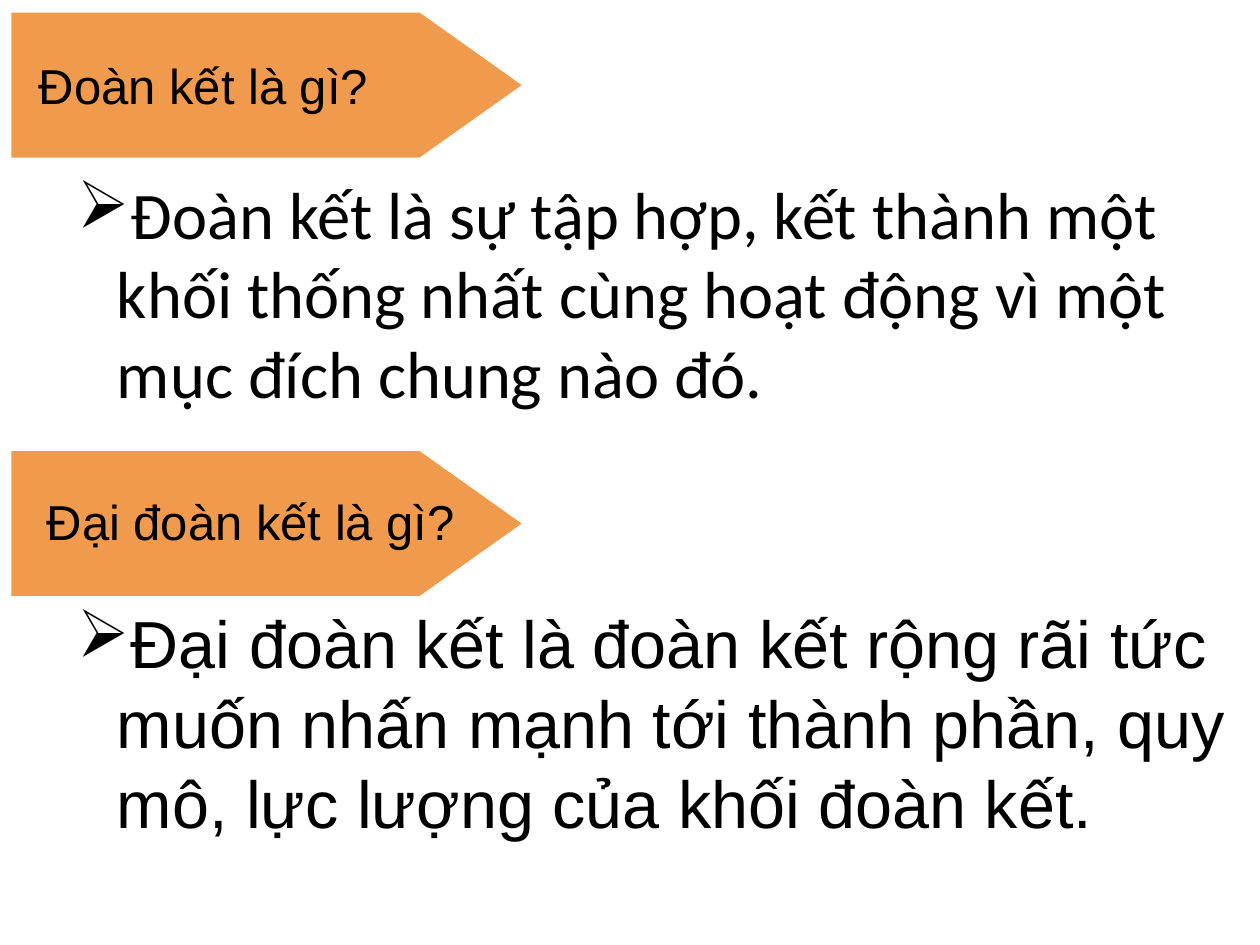
from lxml import etree
from pptx import Presentation, util as u
from pptx.dml.color import RGBColor
from pptx.enum import shapes, text
from pptx.oxml.ns import qn

ITEMS = [
    (0.1, "Đoàn kết là gì?", (0.21, 0.39, 3.3), text.PP_ALIGN.LEFT,
     "Đoàn kết là sự tập hợp, kết thành một khối thống nhất cùng hoạt động "
     "vì một mục đích chung nào đó.", (0.52, 1.32, 8.85), "Calibri"),
    (3.58, "Đại đoàn kết là gì?", (0.09, 3.85, 3.8), text.PP_ALIGN.CENTER,
     "Đại đoàn kết là đoàn kết rộng rãi tức muốn nhấn mạnh tới thành phần, "
     "quy mô, lực lượng của khối đoàn kết.", (0.52, 4.73, 9.39), "Arial"),
]


def paint(target, color):
    """Set a solid colour on a fill."""
    target.solid()
    target.fore_color.rgb = RGBColor.from_string(color)


def write(parent, words, place, height, size, face):
    """Add a wrapped text box and return its paragraph."""
    left, top, width = place
    box = parent.add_textbox(*map(u.Inches, (left, top, width, height)))
    frame = box.text_frame
    frame.word_wrap = True
    frame.auto_size = text.MSO_AUTO_SIZE.SHAPE_TO_FIT_TEXT
    para = frame.paragraphs[0]
    para.text = words
    para.font.size = u.Pt(size)
    para.font.name = face
    paint(para.font.fill, "000000")
    return para


def banner(slide, top, title, place, align):
    """Add a grouped arrow banner with its question."""
    group = slide.shapes.add_group_shape().shapes
    wide, long = 1.15, 4.05
    left = 0.09 + (long - wide) / 2
    arrow = group.add_shape(
        shapes.MSO_SHAPE.FLOWCHART_OFFPAGE_CONNECTOR,
        *map(u.Inches, (left, top - (long - wide) / 2, wide, long)))
    arrow.rotation = 270
    arrow.shadow.inherit = False
    arrow.line.fill.background()
    paint(arrow.fill, "ED7E1C")
    color = arrow.fill._xPr.find(qn("a:solidFill"))[0]
    etree.SubElement(color, qn("a:alpha"), val="78000")
    write(group, title, place, 0.57, 28, "Arial").alignment = align


def answer(slide, words, place, face):
    """Add a bulleted answer with a hanging indent."""
    para = write(slide.shapes, words, place, 2.02, 38, face)
    para.line_spacing = u.Pt(45.6)
    props = para._p.get_or_add_pPr()
    indent = u.Inches(0.31)
    props.set("marL", str(indent))
    props.set("indent", str(-indent))
    bullet = etree.Element(qn("a:buChar"), char="➢")
    props.find(qn("a:defRPr")).addprevious(bullet)


def main():
    """Build the slide and save it."""
    deck = Presentation()
    deck.slide_width, deck.slide_height = u.Inches(10), u.Inches(7.5)
    slide = deck.slides.add_slide(deck.slide_layouts[6])
    for top, title, spot, align, words, place, face in ITEMS:
        banner(slide, top, title, spot, align)
        answer(slide, words, place, face)
    deck.save("out.pptx")


if __name__ == "__main__":
    main()
